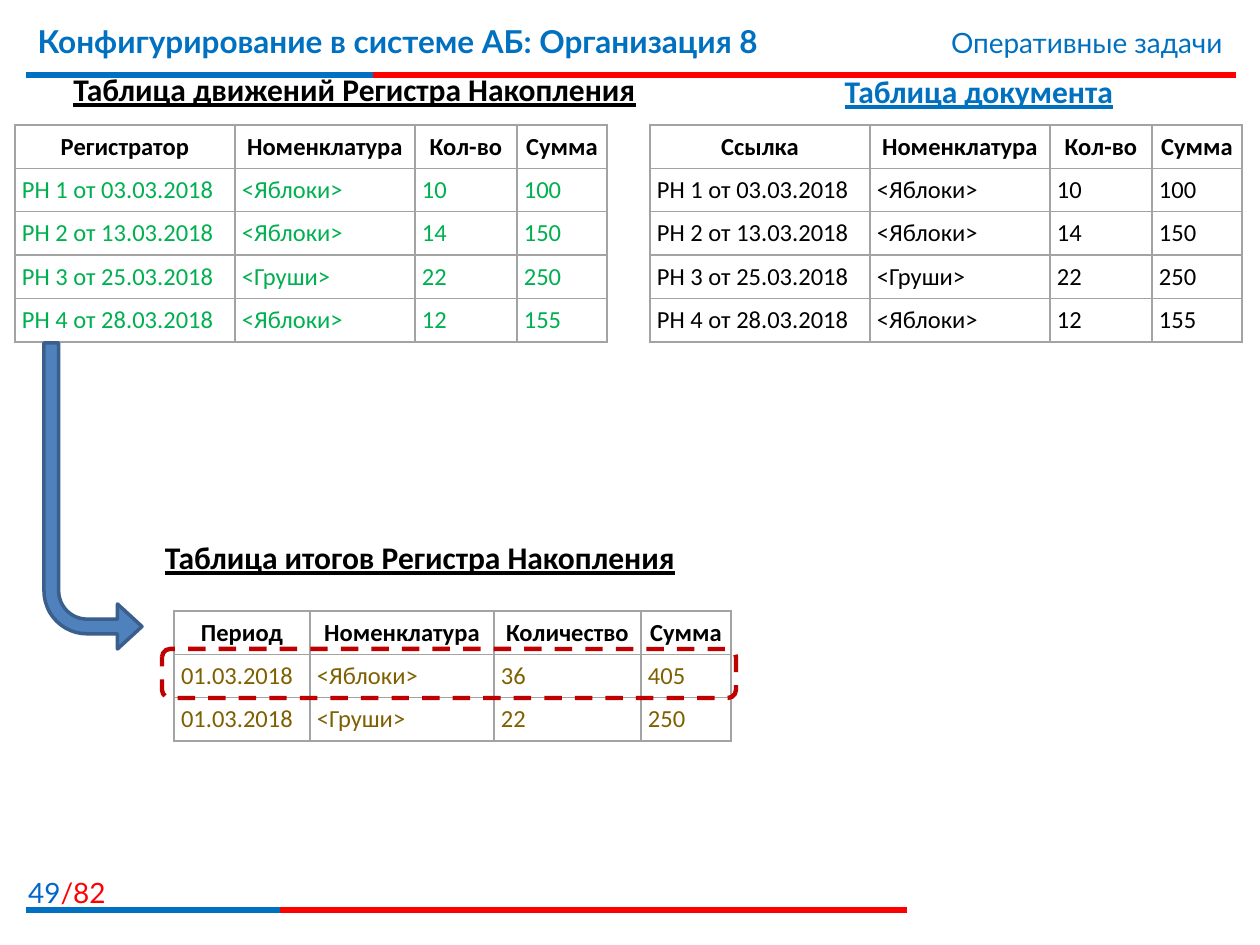
import dataclasses

import pptx
import pptx.dml.color
import pptx.enum.dml
import pptx.enum.shapes
import pptx.enum.text
import pptx.oxml.ns
import pptx.util
from lxml import etree

EMU_PER_PX = 914400 / 126
ALIGN = pptx.enum.text.PP_ALIGN
SHAPE = pptx.enum.shapes.MSO_SHAPE


def px(length):
    return pptx.util.Emu(round(length * EMU_PER_PX))


def rgb(color):
    return pptx.dml.color.RGBColor.from_string(color)


@dataclasses.dataclass(frozen=True)
class Theme:
    header_font: str = "Lato"
    body_font: str = "Calibri"
    blue: str = "0070C0"
    page_blue: str = "0066CC"
    red: str = "FF0000"
    black: str = "000000"
    white: str = "FFFFFF"
    green: str = "00B050"
    olive: str = "7F6000"
    grid: str = "A3A3A3"
    arrow_fill: str = "4F81BD"
    arrow_edge: str = "3A5F8C"
    highlight: str = "C00000"
    heading_size: int = 18
    label_size: int = 16
    cell_size: int = 14


class SlideBuilder:
    def __init__(self, slide, theme):
        self.slide = slide
        self.theme = theme

    def style(self, font, name, size, color=None, bold=False, underline=False):
        font.name = name
        font.size = pptx.util.Pt(size)
        font.bold = bold
        font.underline = underline
        if color:
            font.color.rgb = rgb(color)

    def title(self, text, left, top, width, height):
        heading = self.slide.shapes.title
        heading.left, heading.top = px(left), px(top)
        heading.width, heading.height = px(width), px(height)
        frame = heading.text_frame
        frame.text = text
        frame.auto_size = pptx.enum.text.MSO_AUTO_SIZE.NONE
        frame.vertical_anchor = pptx.enum.text.MSO_ANCHOR.TOP
        paragraph = frame.paragraphs[0]
        paragraph.alignment = ALIGN.LEFT
        self.style(paragraph.font, self.theme.header_font, self.theme.heading_size,
                   self.theme.blue, bold=True)

    def text_box(self, left, top, width, height, align):
        frame = self.slide.shapes.add_textbox(px(left), px(top), px(width), px(height)).text_frame
        frame.word_wrap = True
        paragraph = frame.paragraphs[0]
        paragraph.alignment = align
        return paragraph

    def label(self, parts, left, top, width, height):
        paragraph = self.text_box(left, top, width, height, ALIGN.RIGHT)
        self.style(paragraph.font, self.theme.header_font, self.theme.label_size)
        for text, color in parts:
            run = paragraph.add_run()
            run.text = text
            run.font.color.rgb = rgb(color)

    def caption(self, text, color, left, top, width):
        paragraph = self.text_box(left, top, width, 50, ALIGN.CENTER)
        paragraph.text = text
        self.style(paragraph.font, self.theme.body_font, self.theme.heading_size,
                   color, bold=True, underline=True)

    def rule(self, left, right, y, color):
        line = self.slide.shapes.add_connector(
            pptx.enum.shapes.MSO_CONNECTOR.STRAIGHT, px(left), px(y), px(right), px(y))
        line.line.color.rgb = rgb(color)
        line.line.width = pptx.util.Pt(3)
        etree.SubElement(line._element.spPr, pptx.oxml.ns.qn("a:effectLst"))

    def two_tone_rule(self, left, split, right, y):
        self.rule(left, right, y, self.theme.red)
        self.rule(left, split, y, self.theme.blue)

    def cell_borders(self, cell):
        properties = cell._tc.get_or_add_tcPr()
        for position, side in enumerate(("lnL", "lnR", "lnT", "lnB")):
            border = etree.Element(pptx.oxml.ns.qn(f"a:{side}"), w=str(pptx.util.Pt(1)))
            fill = etree.SubElement(border, pptx.oxml.ns.qn("a:solidFill"))
            etree.SubElement(fill, pptx.oxml.ns.qn("a:srgbClr"), val=self.theme.grid)
            properties.insert(position, border)

    def table(self, rows, widths, left, top, height, data_color):
        grid = self.slide.shapes.add_table(
            len(rows), len(widths), px(left), px(top), px(sum(widths)), px(height)).table
        grid.first_row = grid.horz_banding = False
        for column, width in zip(grid.columns, widths):
            column.width = px(width)
        for row_index, values in enumerate(rows):
            is_header = row_index == 0
            grid.rows[row_index].height = px(height / len(rows))
            for column_index, value in enumerate(values):
                cell = grid.cell(row_index, column_index)
                cell.text = value
                cell.margin_left = cell.margin_right = px(7)
                cell.margin_top = cell.margin_bottom = px(6)
                cell.vertical_anchor = pptx.enum.text.MSO_ANCHOR.MIDDLE
                cell.fill.solid()
                cell.fill.fore_color.rgb = rgb(self.theme.white)
                self.cell_borders(cell)
                paragraph = cell.text_frame.paragraphs[0]
                paragraph.alignment = ALIGN.CENTER if is_header else ALIGN.LEFT
                self.style(paragraph.font, self.theme.body_font, self.theme.cell_size,
                           self.theme.black if is_header else data_color, bold=is_header)

    def flow_arrow(self, left, top, width, height):
        arrow = self.slide.shapes.add_shape(
            SHAPE.BENT_ARROW, px(left), px(top), px(width), px(height))
        arrow.shadow.inherit = False
        for index, value in enumerate((0.15, 0.23, 0.25, 0.44)):
            arrow.adjustments[index] = value
        arrow.rotation = 180
        arrow._element.spPr.get_or_add_xfrm().set("flipH", "1")
        arrow.fill.solid()
        arrow.fill.fore_color.rgb = rgb(self.theme.arrow_fill)
        arrow.line.color.rgb = rgb(self.theme.arrow_edge)
        arrow.line.width = pptx.util.Pt(2)

    def highlight_frame(self, left, top, width, height):
        frame = self.slide.shapes.add_shape(
            SHAPE.ROUNDED_RECTANGLE, px(left), px(top), px(width), px(height))
        frame.shadow.inherit = False
        frame.fill.background()
        frame.line.color.rgb = rgb(self.theme.highlight)
        frame.line.width = pptx.util.Pt(2.5)
        frame.line.dash_style = pptx.enum.dml.MSO_LINE.DASH


def main():
    presentation = pptx.Presentation()
    presentation.slide_width, presentation.slide_height = px(1260), px(945)
    theme = Theme()
    builder = SlideBuilder(presentation.slides.add_slide(presentation.slide_layouts[5]), theme)

    builder.two_tone_rule(26, 373, 1236, 75)
    builder.label([("49", theme.page_blue), ("/82", theme.red)], 0, 869, 118, 40)
    builder.two_tone_rule(26, 280, 907, 910)
    builder.title("Конфигурирование в системе АБ: Организация 8", 25, 16, 932, 78)
    builder.label([("Оперативные задачи", theme.blue)], 748, 19, 487, 47)

    builder.caption("Таблица документа", theme.blue, 701, 66, 556)
    builder.caption("Таблица движений Регистра Накопления", theme.black, 35, 64, 639)
    builder.caption("Таблица итогов Регистра Накопления", theme.black, 142, 532, 556)

    documents = [
        ("РН 1 от 03.03.2018", "<Яблоки>", "10", "100"),
        ("РН 2 от 13.03.2018", "<Яблоки>", "14", "150"),
        ("РН 3 от 25.03.2018", "<Груши>", "22", "250"),
        ("РН 4 от 28.03.2018", "<Яблоки>", "12", "155"),
    ]
    for key_column, left, color in (("Регистратор", 15, theme.green), ("Ссылка", 650, theme.black)):
        header = (key_column, "Номенклатура", "Кол-во", "Сумма")
        builder.table([header] + documents, (220, 180, 102, 90), left, 125, 217, color)

    totals = [
        ("Период", "Номенклатура", "Количество", "Сумма"),
        ("01.03.2018", "<Яблоки>", "36", "405"),
        ("01.03.2018", "<Груши>", "22", "250"),
    ]
    builder.table(totals, (136, 184, 147, 90), 174, 611, 130, theme.olive)
    builder.flow_arrow(44, 343, 98, 306)
    builder.highlight_frame(162, 649, 574, 49)
    presentation.save("out.pptx")


if __name__ == "__main__":
    main()
